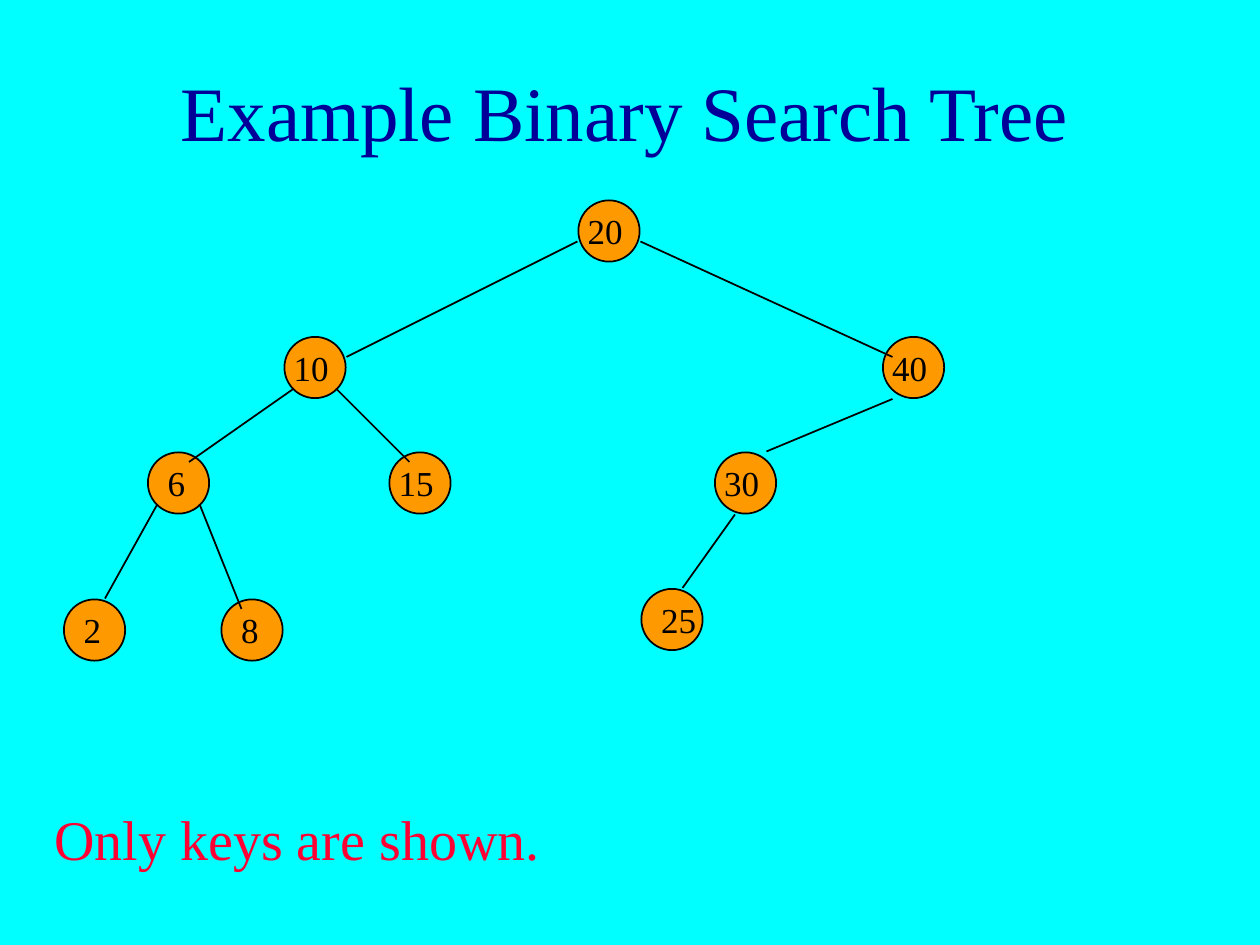
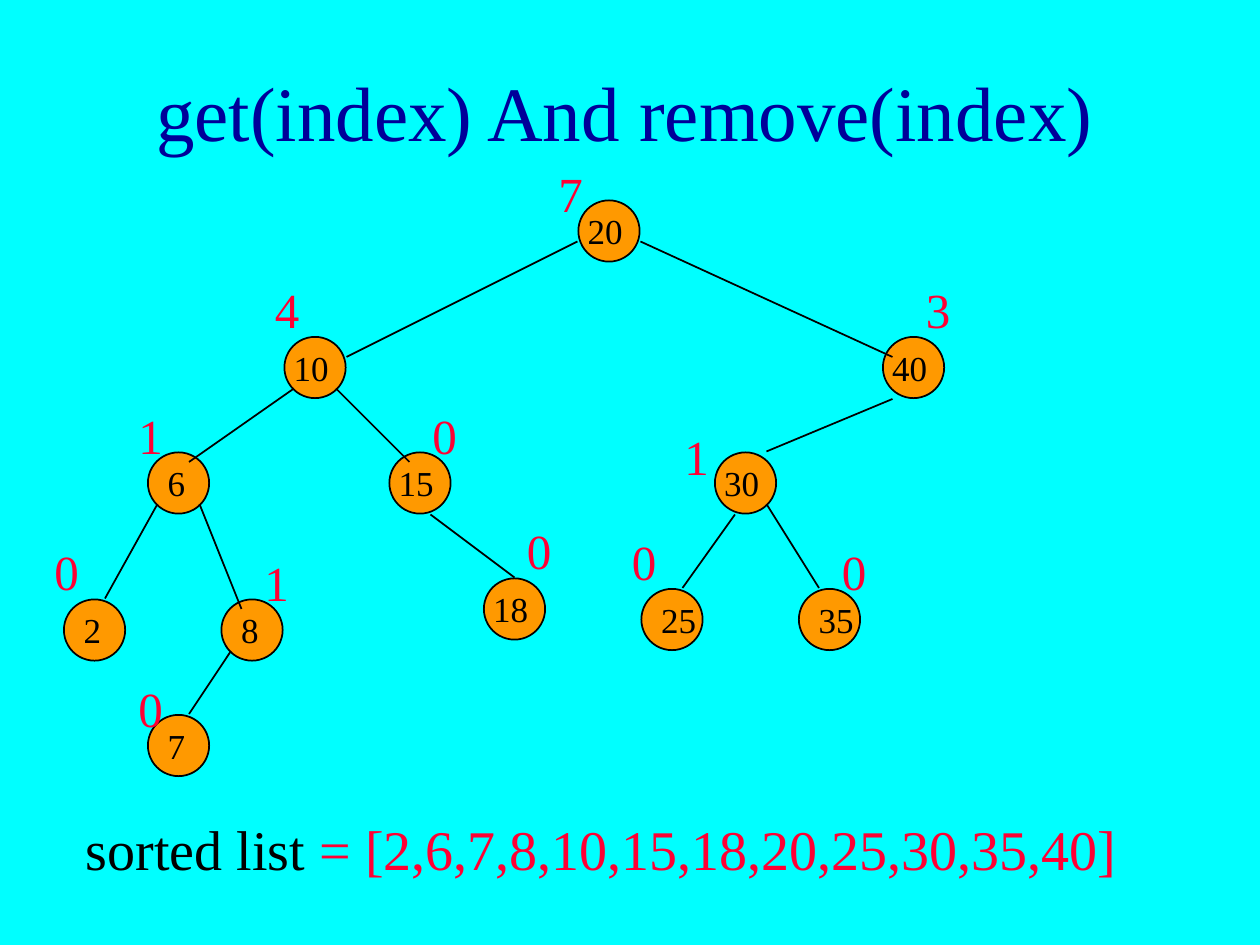
from pptx import Presentation
from pptx.dml.color import RGBColor
from pptx.enum.shapes import MSO_CONNECTOR as Conn, MSO_SHAPE as Kind
from pptx.enum.text import MSO_ANCHOR as Anchor, PP_ALIGN as Align
from pptx.oxml.ns import qn
from pptx.util import Pt
from lxml.etree import SubElement

AQUA, NAVY, ORANGE, RED, BLACK = "00FFFF", "000099", "FF9900", "FF0033", "000000"
FONT = "Times New Roman"
STEP = 6     # grid step in points; a node fills 6 x 6 steps
DISC = 35    # diameter of a node

# Key: grid column and row, left size, offset of the left size from the node
NODES = {
    20: ((55, 19), 7, (-3, -4)),
    10: ((27, 32), 4, (-2, -6)),
    40: ((84, 32), 3, (3, -6)),
    6: ((14, 43), 1, (-2, -5)),
    15: ((37, 43), 0, (3, -5)),
    30: ((68, 43), 1, (-4, -3)),
    2: ((6, 57), 0, (-2, -6)),
    8: ((21, 57), 1, (3, -5)),
    25: ((61, 56), 0, (-2, -6)),
    35: ((76, 56), 0, (3, -5)),
    7: ((14, 68), 0, (-2, -4)),
    18: ((46, 55), 0, (3, -6)),
}
# Parent, child, and where the link touches each of them
LINKS = [
    (20, 10, (0, 4), (6, 2)),
    (20, 40, (6, 4), (1, 2)),
    (10, 6, (1, 5), (4, 1)),
    (10, 15, (5, 5), (2, 1)),
    (40, 30, (1, 6), (5, 0)),
    (6, 2, (1, 5), (4, 0)),
    (6, 8, (5, 5), (2, 1)),
    (30, 25, (2, 6), (4, 0)),
    (30, 35, (5, 5), (2, 0)),
    (8, 7, (1, 5), (4, 0)),
    (15, 18, (4, 6), (3, 0)),
]
NUDGED = {25, 35}    # keys set right of the centre
SLIDES = [
    {"title": "Example Binary Search Tree",
     "keys": [20, 10, 40, 6, 15, 30, 2, 8, 25],
     "sizes": False,
     "note": [("Only keys are shown.", RED)],
     "box": (24, 456, 648, 45)},
    {"title": "get(index) And remove(index)",
     "keys": list(NODES),
     "sizes": True,
     "note": [("sorted list", BLACK),
              (" = [2,6,7,8,10,15,18,20,25,30,35,40]", RED)],
     "box": (42, 462, 654, 45)},
]


def tint(code):
    return RGBColor.from_string(code)


def place(key, shift=(0, 0)):
    """Point on the slide, shifted from a node's corner by grid steps."""
    return [STEP * (a + b) for a, b in zip(NODES[key][0], shift)]


def write(slide, text, box, size=20, color=BLACK, align=Align.LEFT,
          anchor=Anchor.TOP, before=0, wrap=True):
    """Add a text box; text is a string or a list of (string, colour)."""
    frame = slide.shapes.add_textbox(*map(Pt, box)).text_frame
    frame.word_wrap = wrap
    frame.vertical_anchor = anchor
    para = frame.paragraphs[0]
    para.alignment = align
    para.space_before = Pt(before)
    parts = [(text, color)] if isinstance(text, str) else text
    for words, shade in parts:
        run = para.add_run()
        run.text = words
        run.font.name = FONT
        run.font.size = Pt(size)
        run.font.color.rgb = tint(shade)


def outline(shape):
    shape.line.color.rgb = tint(BLACK)
    shape.line.width = Pt(1)


def draw_disc(slide, key):
    x, y = place(key)
    disc = slide.shapes.add_shape(
        Kind.OVAL, Pt(x + 0.5), Pt(y + 0.5), Pt(DISC), Pt(DISC))
    disc.shadow.inherit = False
    disc.fill.solid()
    disc.fill.fore_color.rgb = tint(ORANGE)
    outline(disc)


def draw_link(slide, top, low, start, end):
    ends = place(top, start) + place(low, end)
    link = slide.shapes.add_connector(Conn.STRAIGHT, *map(Pt, ends))
    outline(link)
    SubElement(link._element.spPr, qn("a:effectLst"))


def draw_key(slide, key):
    x, y = place(key)
    pair = key > 9
    shift = 4.7 if key in NUDGED or not pair else -1.3
    write(slide, str(key), (x + shift, y + 2.4, 34.4 if pair else 24.4, 31),
          wrap=False)


def draw_tree(slide, keys, sizes):
    for key in keys:
        draw_disc(slide, key)
    for link in LINKS:
        if link[1] in keys:
            draw_link(slide, *link)
    for key in keys:
        draw_key(slide, key)
        if sizes:
            _, count, shift = NODES[key]
            write(slide, str(count), (*place(key, shift), 18, 41),
                  size=28, color=RED, before=17.5)


def main():
    deck = Presentation()
    deck.slide_width, deck.slide_height = Pt(720), Pt(540)
    for page in SLIDES:
        slide = deck.slides.add_slide(deck.slide_layouts[6])
        fill = slide.background.fill
        fill.solid()
        fill.fore_color.rgb = tint(AQUA)
        write(slide, page["title"], (6, 18, 702, 90), size=44, color=NAVY,
              align=Align.CENTER, anchor=Anchor.MIDDLE)
        draw_tree(slide, page["keys"], page["sizes"])
        write(slide, page["note"], page["box"], size=32, before=20)
    deck.save("out.pptx")


if __name__ == "__main__":
    main()
